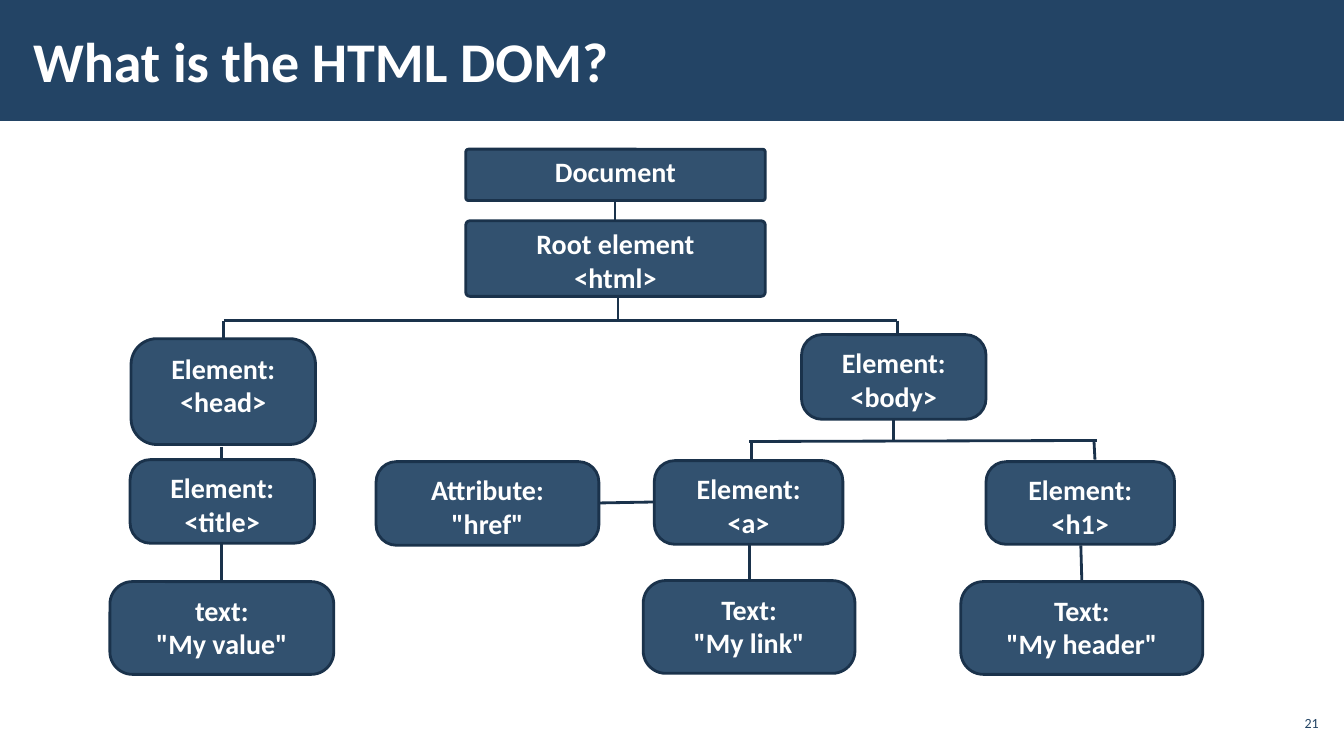
"""Build the HTML DOM tree slide."""
import lxml.etree
import pptx
import pptx.dml.color
import pptx.enum.shapes
import pptx.enum.text
import pptx.oxml.ns
import pptx.util

Inches = pptx.util.Inches
Pt = pptx.util.Pt
RGBColor = pptx.dml.color.RGBColor
Shape = pptx.enum.shapes.MSO_SHAPE
Anchor = pptx.enum.text.MSO_ANCHOR
Align = pptx.enum.text.PP_ALIGN
qn = pptx.oxml.ns.qn

NAVY = RGBColor(0x23, 0x44, 0x65)
DARK = RGBColor(0x1A, 0x32, 0x4B)
WHITE = RGBColor(0xFF, 0xFF, 0xFF)

SQUARE, ROUND = 0.054, 0.243
NODES = [
    ("Document", (3.53, 0.28, 2.97, 0.51), SQUARE),
    ("Root element\v<html>", (3.53, 0.99, 2.97, 0.75), SQUARE),
    ("Element:\v<head>", (0.21, 2.16, 1.83, 1.05), ROUND),
    ("Element:\v<title>", (0.2, 3.36, 1.83, 0.83), ROUND),
    ("text:\v\"My value\"", (0, 4.57, 2.22, 0.92), ROUND),
    ("Element:\v<body>", (6.86, 2.12, 1.83, 0.84), ROUND),
    ("Attribute:\v\"href\"", (2.64, 3.38, 2.21, 0.83), ROUND),
    ("Element:\v<a>", (5.4, 3.37, 1.87, 0.83), ROUND),
    ("Element:\v<h1>", (8.69, 3.38, 1.87, 0.82), ROUND),
    ("Text:\v\"My link\"", (5.29, 4.56, 2.1, 0.92), ROUND),
    ("Text:\v\"My header\"", (8.44, 4.57, 2.4, 0.92), ROUND),
]
LINKS = [
    (5.01, 0.79, 5.01, 0.99),
    (5.04, 1.75, 5.04, 1.98),
    (1.13, 1.98, 7.81, 1.98),
    (1.13, 1.98, 1.13, 2.16),
    (7.81, 1.98, 7.81, 2.13),
    (1.11, 3.23, 1.11, 3.36),
    (1.11, 4.19, 1.11, 4.57),
    (7.77, 2.96, 7.77, 3.18),
    (6.34, 3.18, 9.79, 3.17),
    (6.36, 3.17, 6.36, 3.35),
    (9.76, 3.17, 9.77, 3.36),
    (4.85, 3.79, 5.4, 3.78),
    (6.34, 4.2, 6.34, 4.57),
    (9.63, 4.21, 9.64, 4.57),
]


def write(sp, text, size, color, bold, align, anchor, insets):
    """Put formatted text into a shape."""
    tf = sp.text_frame
    frame = {"word_wrap": True, "vertical_anchor": anchor}
    frame.update(zip(("margin_left", "margin_top", "margin_right", "margin_bottom"),
                     map(Inches, insets)))
    for name, value in frame.items():
        setattr(tf, name, value)
    p = tf.paragraphs[0]
    p.text = text
    p.alignment = align
    for r in p.runs:
        for name, value in {"name": "Calibri", "size": Pt(size), "bold": bold}.items():
            setattr(r.font, name, value)
        r.font.color.rgb = color


def fill(sp, color):
    """Give a shape a plain fill without shadow."""
    sp.shadow.inherit = False
    sp.fill.solid()
    sp.fill.fore_color.rgb = color


def add_header(s, left, top, width, height):
    """Draw the title band."""
    band = s.shapes.add_shape(Shape.RECTANGLE, *map(Inches, (left, top, width, height)))
    fill(band, NAVY)
    band.line.fill.background()
    title = s.shapes.add_textbox(*map(Inches, (left + 0.21, top + 0.11, 10.4, 0.97)))
    write(title, "What is the HTML DOM?", 40, WHITE, True, Align.LEFT, Anchor.MIDDLE,
          (0.12, 0.04, 0.12, 0.04))


def add_node(s, left, top, text, box, radius):
    """Draw one tree node offset from the tree corner."""
    x, y, width, height = box
    sp = s.shapes.add_shape(Shape.ROUNDED_RECTANGLE,
                            *map(Inches, (left + x, top + y, width, height)))
    sp.adjustments[0] = radius
    fill(sp, NAVY)
    color = sp.fill._xPr.find(qn("a:solidFill"))[0]
    lxml.etree.SubElement(color, qn("a:alpha")).set("val", "93000")
    sp.line.color.rgb = DARK
    sp.line.width = Pt(2)
    write(sp, text, 20, WHITE, True, Align.CENTER, Anchor.TOP, (0.1, 0.05, 0.1, 0.05))


def add_link(s, left, top, ends):
    """Draw one tree line offset from the tree corner."""
    x1, y1, x2, y2 = ends
    line = s.shapes.add_connector(
        pptx.enum.shapes.MSO_CONNECTOR.STRAIGHT,
        *map(Inches, (left + x1, top + y1, left + x2, top + y2)))
    line.line.color.rgb = DARK
    line.line.width = Pt(2)
    lxml.etree.SubElement(line._element.spPr, qn("a:effectLst"))


def add_tree(s, left, top):
    """Draw the DOM tree with its nodes and lines."""
    for text, box, radius in NODES:
        add_node(s, left, top, text, box, radius)
    for ends in LINKS:
        add_link(s, left, top, ends)


def add_page_number(s, left, top, width, height):
    """Write the page number."""
    sp = s.shapes.add_textbox(*map(Inches, (left, top, width, height)))
    write(sp, "21", 10, NAVY, False, Align.RIGHT, Anchor.MIDDLE, (0.04,) * 4)


def main():
    """Build and save the presentation."""
    prs = pptx.Presentation()
    prs.slide_width, prs.slide_height = Inches(13.33), Inches(7.5)
    s = prs.slides.add_slide(prs.slide_layouts[6])
    s.background.fill.solid()
    s.background.fill.fore_color.rgb = WHITE
    add_header(s, 0, 0, 13.33, 1.2)
    add_tree(s, 1.09, 1.2)
    add_page_number(s, 12.65, 7, 0.47, 0.34)
    prs.save("out.pptx")


main()
